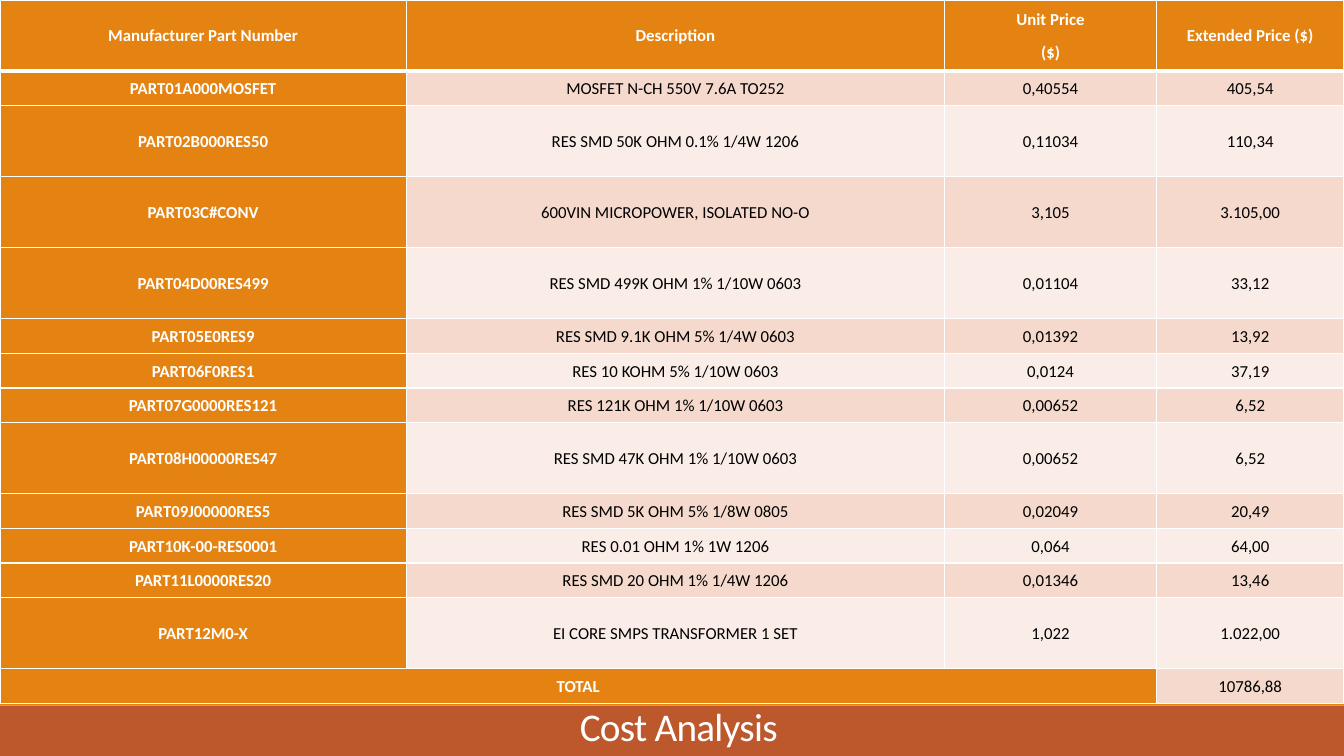
from lxml.etree import SubElement
from pptx import Presentation
from pptx.dml.color import RGBColor
from pptx.enum.shapes import MSO_SHAPE as Preset
from pptx.enum.text import MSO_ANCHOR as Anchor, PP_ALIGN as Align
from pptx.oxml.ns import qn
from pptx.util import Inches, Pt

WIDTH, HEIGHT = 13.33, 7.5
FONT = "Calibri"
WHITE, BLACK = "FFFFFF", "000000"
ORANGE, RUST = "E48312", "BD582C"
BANDS = ("F5D9CC", "FAEDE7")

COLUMN_WEIGHTS = (4.03, 5.34, 2.1, 1.86)
TALL_ROWS = {0, 2, 3, 4, 8, 12}
TALL_WEIGHT = 2.05
HEADER = ("Manufacturer Part Number", "Description", "Unit Price\n($)", "Extended Price ($)")
PARTS = (
    ("PART01A000MOSFET", "MOSFET N-CH 550V 7.6A TO252", "0,40554", "405,54"),
    ("PART02B000RES50", "RES SMD 50K OHM 0.1% 1/4W 1206", "0,11034", "110,34"),
    ("PART03C#CONV", "600VIN MICROPOWER, ISOLATED NO-O", "3,105", "3.105,00"),
    ("PART04D00RES499", "RES SMD 499K OHM 1% 1/10W 0603", "0,01104", "33,12"),
    ("PART05E0RES9", "RES SMD 9.1K OHM 5% 1/4W 0603", "0,01392", "13,92"),
    ("PART06F0RES1", "RES 10 KOHM 5% 1/10W 0603", "0,0124", "37,19"),
    ("PART07G0000RES121", "RES 121K OHM 1% 1/10W 0603", "0,00652", "6,52"),
    ("PART08H00000RES47", "RES SMD 47K OHM 1% 1/10W 0603", "0,00652", "6,52"),
    ("PART09J00000RES5", "RES SMD 5K OHM 5% 1/8W 0805", "0,02049", "20,49"),
    ("PART10K-00-RES0001", "RES 0.01 OHM 1% 1W 1206", "0,064", "64,00"),
    ("PART11L0000RES20", "RES SMD 20 OHM 1% 1/4W 1206", "0,01346", "13,46"),
    ("PART12M0-X", "EI CORE SMPS TRANSFORMER 1 SET", "1,022", "1.022,00"),
)
TOTAL = ("TOTAL", "", "", "10786,88")


def color(hex_text):
    """Turn a hex string into a colour."""
    return RGBColor.from_string(hex_text)


def paint(target, hex_text):
    """Give a shape or cell a solid fill."""
    target.fill.solid()
    target.fill.fore_color.rgb = color(hex_text)


def add_span(para, text, size, hex_text, bold=False):
    """Add one centred run to a paragraph."""
    para.alignment = Align.CENTER
    span = para.add_run()
    span.text = text
    span.font.name, span.font.size, span.font.bold = FONT, Pt(size), bold
    span.font.color.rgb = color(hex_text)
    return span


def set_borders(cell, top, bottom):
    """Draw white cell borders; the side borders are 1 pt wide."""
    properties = cell._tc.get_or_add_tcPr()
    widths = {"a:lnL": 1, "a:lnR": 1, "a:lnT": top, "a:lnB": bottom}
    for place, (tag, width) in enumerate(widths.items()):
        line = SubElement(properties, qn(tag), w=str(Pt(width)))
        SubElement(SubElement(line, qn("a:solidFill")), qn("a:srgbClr"), val=WHITE)
        properties.insert(place, line)


def fill_cell(cell, text, fill, strong):
    """Write and colour one table cell, one paragraph per line."""
    paint(cell, fill)
    cell.vertical_anchor = Anchor.MIDDLE
    cell.margin_left = cell.margin_right = Inches(0.05)
    cell.margin_top = cell.margin_bottom = 0
    frame = cell.text_frame
    for index, line in enumerate(text.split("\n") if text else ()):
        para = frame.add_paragraph() if index else frame.paragraphs[0]
        para.line_spacing, para.space_after = 1.07, Pt(8)
        add_span(para, line, 12, WHITE if strong else BLACK, strong)


def add_cost_table(page, left, top, width, height):
    """Place the parts list with its header and total in the given box."""
    rows = (HEADER, *PARTS, TOTAL)
    box = page.shapes.add_table(len(rows), len(HEADER),
                                *map(Inches, (left, top, width, height)))
    table = box.table
    for column, weight in zip(table.columns, COLUMN_WEIGHTS):
        column.width = Inches(width * weight / sum(COLUMN_WEIGHTS))
    weights = [TALL_WEIGHT if row in TALL_ROWS else 1 for row in range(len(rows))]
    for row, weight in zip(table.rows, weights):
        row.height = Inches(height * weight / sum(weights))
    for row, texts in enumerate(rows):
        for column, text in enumerate(texts):
            cell = table.cell(row, column)
            strong = row == 0 or column == 0
            fill_cell(cell, text, ORANGE if strong else BANDS[(row - 1) % 2], strong)
            set_borders(cell, 3 if row == 1 else 1, 3 if row == 0 else 1)
    last = len(rows) - 1
    table.cell(last, 0).merge(table.cell(last, 2))


def add_band(page, left, top, width, height, fill):
    """Place a plain rectangle."""
    band = page.shapes.add_shape(Preset.RECTANGLE, *map(Inches, (left, top, width, height)))
    band.shadow.inherit = False
    band.line.fill.background()
    paint(band, fill)


def add_title_footer(page, left, top, width, height):
    """Place the two-colour footer and its title in the given box."""
    strip = 0.07
    add_band(page, left, top + strip, width, height - strip, RUST)
    add_band(page, left, top, width, strip, ORANGE)
    box = page.shapes.add_textbox(Inches(left + 0.09 * width), Inches(top + 0.05),
                                  Inches(0.83 * width), Inches(height - 0.05))
    frame = box.text_frame
    frame.word_wrap = True
    frame.vertical_anchor = Anchor.MIDDLE
    para = frame.paragraphs[0]
    para.line_spacing = 0.85
    span = add_span(para, "Cost Analysis", 28, WHITE)
    span.font._element.set("spc", "-50")


def build():
    """Build the deck and save it."""
    deck = Presentation()
    deck.slide_width, deck.slide_height = Inches(WIDTH), Inches(HEIGHT)
    page = deck.slides.add_slide(deck.slide_layouts[6])
    footer = 0.57
    add_title_footer(page, 0, HEIGHT - footer, WIDTH, footer)
    add_cost_table(page, 0, 0, WIDTH, 6.98)
    deck.save("out.pptx")


build()
